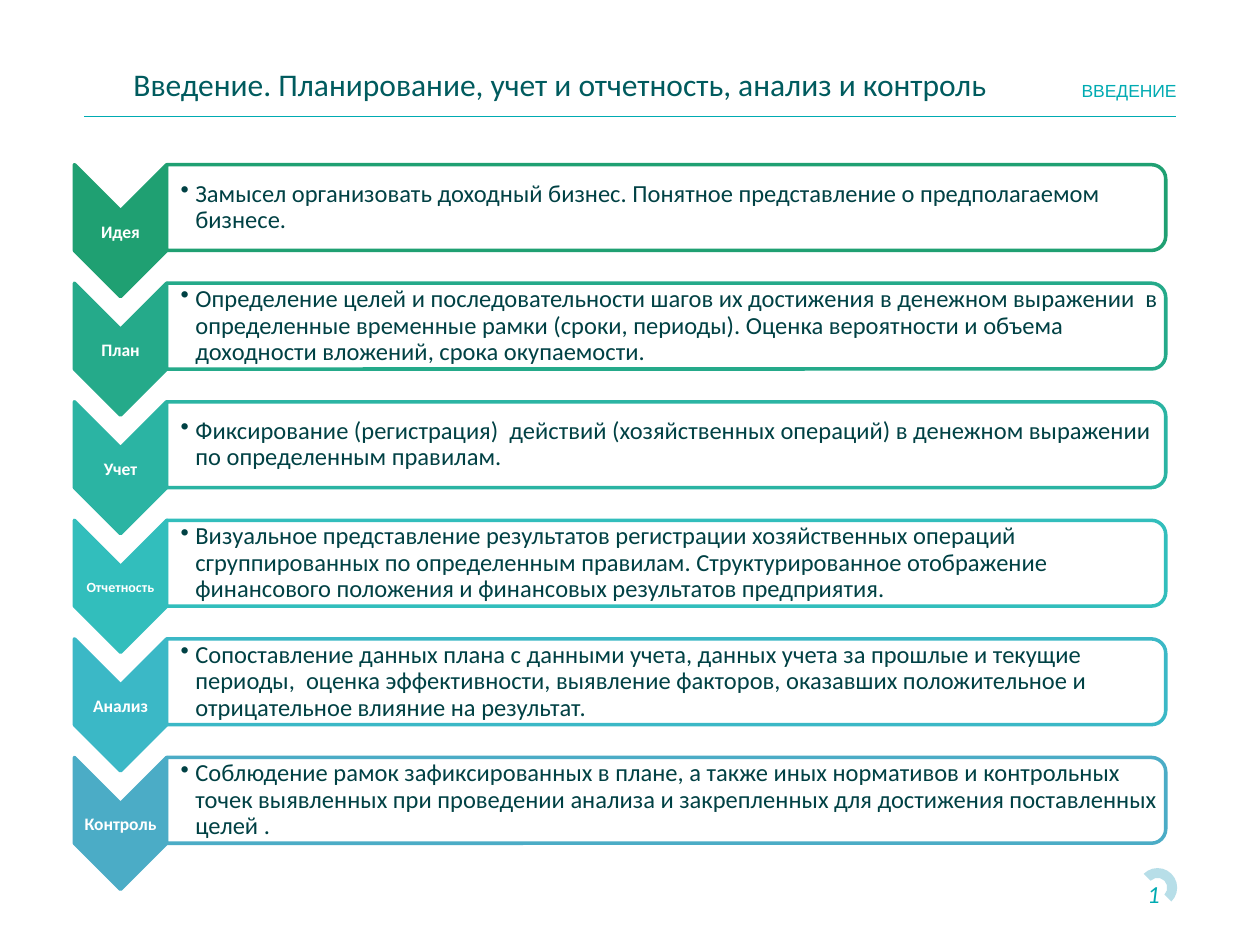
from dataclasses import dataclass

from lxml.etree import SubElement
from pptx import Presentation
from pptx.dml.color import RGBColor
from pptx.enum.shapes import MSO_CONNECTOR, MSO_SHAPE
from pptx.enum.text import MSO_ANCHOR, MSO_AUTO_SIZE, PP_ALIGN
from pptx.oxml.ns import qn
from pptx.util import Cm, Pt


@dataclass(frozen=True)
class Theme:
    font: str = "Calibri"
    section_font: str = "Arial"
    title: str = "005B5E"
    accent: str = "00ABB2"
    body: str = "004144"
    white: str = "FFFFFF"
    arc: str = "B7DEE8"
    title_size: int = 18
    body_size: int = 14
    label_size: int = 10
    small_size: int = 8


THEME = Theme()

# label, label size, colour, description
STAGES = [
    ("Идея", THEME.label_size, "1FA072",
     "Замысел организовать доходный бизнес. Понятное представление о предполагаемом бизнесе."),
    ("План", THEME.label_size, "25AA8A",
     "Определение целей и последовательности шагов их достижения в денежном выражении  в "
     "определенные временные рамки (сроки, периоды). Оценка вероятности и объема "
     "доходности вложений, срока окупаемости."),
    ("Учет", THEME.label_size, "2BB4A3",
     "Фиксирование (регистрация)  действий (хозяйственных операций) в денежном выражении "
     "по определенным правилам."),
    ("Отчетность", THEME.small_size, "32BEBC",
     "Визуальное представление результатов регистрации хозяйственных операций "
     "сгруппированных по определенным правилам. Структурированное отображение "
     "финансового положения и финансовых результатов предприятия."),
    ("Анализ", THEME.label_size, "3BB8C6",
     "Сопоставление данных плана с данными учета, данных учета за прошлые и текущие "
     "периоды,  оценка эффективности, выявление факторов, оказавших положительное и "
     "отрицательное влияние на результат."),
    ("Контроль", THEME.label_size, "4BACC6",
     "Соблюдение рамок зафиксированных в плане, а также иных нормативов и контрольных "
     "точек выявленных при проведении анализа и закрепленных для достижения поставленных "
     "целей ."),
]
FIRST_TOP, PITCH = 3.32, 2.39
CHEVRON_WIDTH, CHEVRON_HEIGHT = 1.86, 2.66
PANEL_WIDTH, PANEL_HEIGHT = 20.14, 1.73
CHEVRON_LEFT = 1.5
PANEL_LEFT = CHEVRON_LEFT + CHEVRON_WIDTH


class SlideBuilder:
    def __init__(self, slide, theme):
        self.slide = slide
        self.theme = theme

    def set_text(self, holder, text, size, color, font=None, align=PP_ALIGN.LEFT,
                 anchor=MSO_ANCHOR.TOP, margin=0, bold=False, italic=False):
        """Fill a text-bearing shape and return its only paragraph."""
        frame = holder.text_frame
        frame.text = text
        frame.word_wrap = True
        frame.auto_size = MSO_AUTO_SIZE.NONE
        frame.vertical_anchor = anchor
        frame.margin_left = frame.margin_right = Cm(margin)
        frame.margin_top = frame.margin_bottom = Cm(margin)
        paragraph = frame.paragraphs[0]
        paragraph.alignment = align
        style = paragraph.runs[0].font
        style.name = font or self.theme.font
        style.size = Pt(size)
        style.color.rgb = RGBColor.from_string(color)
        style.bold, style.italic = bold, italic
        return paragraph

    def title(self, text, left, top, width, height):
        heading = self.slide.shapes.title
        heading.left, heading.top = Cm(left), Cm(top)
        heading.width, heading.height = Cm(width), Cm(height)
        self.set_text(heading, text, self.theme.title_size, self.theme.title)

    def text(self, text, left, top, width, height, size, color, **style):
        box = self.slide.shapes.add_textbox(Cm(left), Cm(top), Cm(width), Cm(height))
        return self.set_text(box, text, size, color, **style)

    def bullet(self, text, left, top, width, height):
        paragraph = self.text(text, left, top, width, height, self.theme.body_size,
                              self.theme.body, anchor=MSO_ANCHOR.MIDDLE, margin=0.03)
        paragraph.line_spacing = 0.9
        properties = paragraph._p.get_or_add_pPr()
        properties.set("marL", str(Cm(0.3)))
        properties.set("indent", str(-Cm(0.3)))
        SubElement(properties, qn("a:buChar"), char="•")

    def shape(self, preset, left, top, width, height, fill, line=None, rotation=0):
        shape = self.slide.shapes.add_shape(preset, Cm(left), Cm(top), Cm(width), Cm(height))
        shape.rotation = rotation
        shape.shadow.inherit = False
        shape.fill.solid()
        shape.fill.fore_color.rgb = RGBColor.from_string(fill)
        if line:
            shape.line.color.rgb = RGBColor.from_string(line)
            shape.line.width = Pt(2)
        else:
            shape.line.fill.background()
        return shape

    def quarter_turned(self, preset, left, top, width, height, fill, line):
        """Place a shape turned by 90° so that it covers the given area."""
        shift = (width - height) / 2
        return self.shape(preset, left + shift, top - shift, height, width, fill, line, 90)

    def rule(self, left, right, y):
        line = self.slide.shapes.add_connector(
            MSO_CONNECTOR.STRAIGHT, Cm(left), Cm(y), Cm(right), Cm(y))
        line.line.color.rgb = RGBColor.from_string(self.theme.accent)
        line.line.width = Pt(0.5)
        effects = SubElement(line._element.spPr, qn("a:effectLst"))
        shadow = SubElement(effects, qn("a:outerShdw"), blurRad=str(Pt(3.1)),
                            dist=str(Pt(1.6)), dir="5400000", rotWithShape="0")
        color = SubElement(shadow, qn("a:srgbClr"), val="000000")
        SubElement(color, qn("a:alpha"), val="38000")

    def stage(self, top, label, label_size, color, description):
        self.quarter_turned(MSO_SHAPE.CHEVRON, CHEVRON_LEFT, top,
                            CHEVRON_WIDTH, CHEVRON_HEIGHT, color, color)
        self.text(label, CHEVRON_LEFT, top + 0.94, CHEVRON_WIDTH, 0.8, label_size,
                  self.theme.white, align=PP_ALIGN.CENTER, anchor=MSO_ANCHOR.MIDDLE,
                  margin=0.02, bold=True)
        panel = self.quarter_turned(MSO_SHAPE.ROUND_2_SAME_RECTANGLE, PANEL_LEFT, top,
                                    PANEL_WIDTH, PANEL_HEIGHT, self.theme.white, color)
        fill_color = panel._element.spPr.find(qn("a:solidFill"))[0]
        SubElement(fill_color, qn("a:alpha"), val="90000")
        self.bullet(description, PANEL_LEFT + 0.25, top + 0.09,
                    PANEL_WIDTH - 0.33, PANEL_HEIGHT - 0.18)


def main():
    presentation = Presentation()
    presentation.slide_width, presentation.slide_height = Cm(25.4), Cm(19.05)
    slide = presentation.slides.add_slide(presentation.slide_layouts[5])
    builder = SlideBuilder(slide, THEME)

    builder.shape(MSO_SHAPE.BLOCK_ARC, 22.94, 17.5, 0.79, 0.79, THEME.arc, rotation=45)
    builder.rule(1.7, 23.7, 2.34)
    builder.title("Введение. Планирование, учет и отчетность, анализ и контроль",
                  2.69, 1.32, 18.21, 1)
    builder.text("1", 22.38, 17.73, 1, 0.79, THEME.body_size, THEME.accent,
                 align=PP_ALIGN.RIGHT, italic=True)
    for row, stage in enumerate(STAGES):
        builder.stage(FIRST_TOP + row * PITCH, *stage)
    builder.text("ВВЕДЕНИЕ", 18.11, 1.32, 5.61, 1, THEME.label_size, THEME.accent,
                 font=THEME.section_font, align=PP_ALIGN.RIGHT, anchor=MSO_ANCHOR.MIDDLE)

    presentation.save("out.pptx")


if __name__ == "__main__":
    main()
